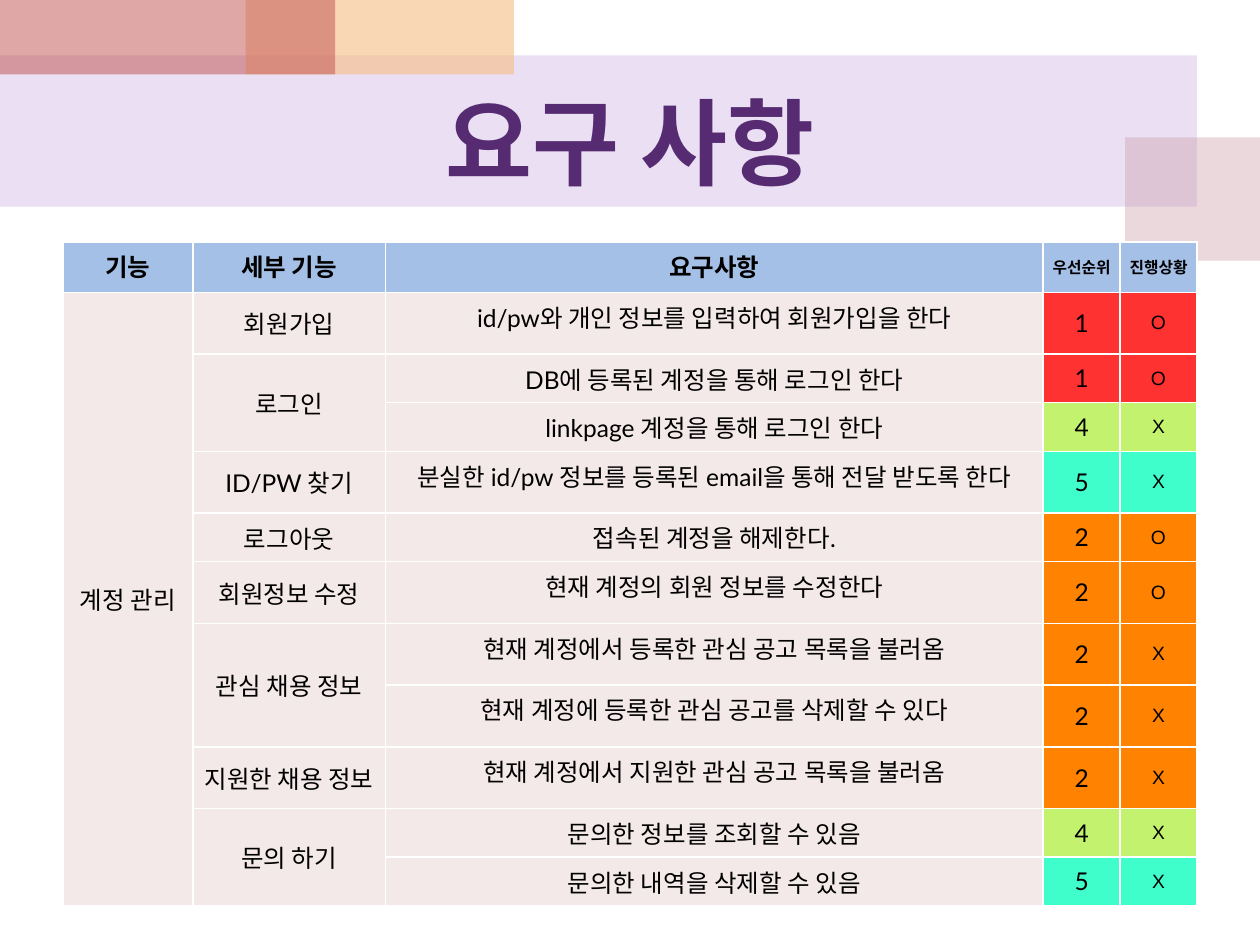
from dataclasses import dataclass
from itertools import groupby

from lxml.etree import SubElement
from pptx import Presentation
from pptx.dml.color import RGBColor
from pptx.enum.shapes import MSO_SHAPE
from pptx.enum.text import MSO_ANCHOR, PP_ALIGN
from pptx.oxml.ns import qn
from pptx.util import Inches, Pt


@dataclass(frozen=True)
class Theme:
    """Colours, fonts and type sizes."""
    violet: str = "BF98D8"
    rose: str = "CC9EAC"
    peach: str = "F5BC83"
    red: str = "C0504D"
    title: str = "562B71"
    ink: str = "000000"
    head: str = "A5C0E6"
    cell: str = "F4E9E9"
    ranks: tuple = (("1", "FF3232"), ("2", "FF8200"),
                    ("4", "C3F26E"), ("5", "40FECC"))
    strong: str = "Noto Sans CJK KR"
    plain: str = "Lato"
    mark: str = "Arial"
    huge: int = 54
    body: int = 14
    note: int = 11
    tiny: int = 9


class Page:
    """Draws on one slide, with lengths in percent of its size."""

    def __init__(self, deck, theme):
        """Start a slide that has a title only."""
        self.wide, self.high = deck.slide_width, deck.slide_height
        self.theme = theme
        self.slide = deck.slides.add_slide(deck.slide_layouts[5])
        self.shapes = self.slide.shapes

    def x(self, share):
        """Turn a share of the width into a length."""
        return round(self.wide * share / 100)

    def y(self, share):
        """Turn a share of the height into a length."""
        return round(self.high * share / 100)

    def box(self, left, top, width, height):
        """Turn four shares into a place and size."""
        return self.x(left), self.y(top), self.x(width), self.y(height)

    def letter(self, frame, text, size, face, color, bold=False):
        """Put one centred line into a text frame."""
        frame.text = text
        para = frame.paragraphs[0]
        para.alignment = PP_ALIGN.CENTER
        font = para.font
        font.size, font.name, font.bold = Pt(size), face, bold
        font.color.rgb = RGBColor.from_string(color)

    def block(self, place, color, alpha):
        """Add a see-through rectangle."""
        shape = self.shapes.add_shape(MSO_SHAPE.RECTANGLE, *self.box(*place))
        shape.shadow.inherit = False
        shape.line.fill.background()
        shape.fill.solid()
        shape.fill.fore_color.rgb = RGBColor.from_string(color)
        tone = shape._element.spPr.find(qn("a:solidFill"))[0]
        SubElement(tone, qn("a:alpha"), val=str(alpha * 1000))

    def title(self, text, place):
        """Fill the title and lift it above the blocks."""
        shape = self.shapes.title
        shape.left, shape.top, shape.width, shape.height = self.box(*place)
        shape.text_frame.vertical_anchor = MSO_ANCHOR.MIDDLE
        look = self.theme
        self.letter(shape.text_frame, text, look.huge, look.strong,
                    look.title, True)
        self.shapes._spTree.append(shape._element)

    def cell(self, cell, text, fill, size, face, bold=False, top=False,
             pad=0.05):
        """Fill and letter one table cell."""
        cell.fill.solid()
        cell.fill.fore_color.rgb = RGBColor.from_string(fill)
        cell.margin_left = cell.margin_right = Inches(pad)
        cell.margin_top = cell.margin_bottom = Inches(pad)
        cell.vertical_anchor = MSO_ANCHOR.TOP if top else MSO_ANCHOR.MIDDLE
        self.letter(cell.text_frame, text, size, face, self.theme.ink, bold)

    def table(self, left, top, cols, rows):
        """Add an unbanded table with the given column and row shares."""
        frame = self.shapes.add_table(
            len(rows), len(cols), *self.box(left, top, sum(cols), sum(rows)))
        grid = frame.table
        grid.first_row = grid.horz_banding = False
        for col, share in zip(grid.columns, cols):
            col.width = self.x(share)
        for row, share in zip(grid.rows, rows):
            row.height = self.y(share)
        return grid

    def needs(self, left, top, cols, heads, group, items):
        """Add the table of needs, joining cells of the same feature."""
        look = self.theme
        tall, short = 6.54, 5.14
        rows = [5.34] + [tall if item[4] else short for item in items]
        grid = self.table(left, top, cols, rows)
        for col, text in enumerate(heads):
            size = look.body if col < 3 else look.tiny
            self.cell(grid.cell(0, col), text, look.head, size,
                      look.strong, True, top=col < 3)
        grid.cell(1, 0).merge(grid.cell(len(items), 0))
        self.cell(grid.cell(1, 0), group, look.cell, look.body, look.plain)
        row = 1
        for name, part in groupby(items, key=lambda item: item[0]):
            part = list(part)
            first = grid.cell(row, 1)
            if len(part) > 1:
                first.merge(grid.cell(row + len(part) - 1, 1))
            self.cell(first, name, look.cell, look.body, look.plain)
            for _, need, rank, done, _ in part:
                fill = dict(look.ranks)[rank]
                self.cell(grid.cell(row, 2), need, look.cell, look.body,
                          look.plain, top=True)
                self.cell(grid.cell(row, 3), rank, fill, look.body,
                          look.plain)
                self.cell(grid.cell(row, 4), done, fill, look.note,
                          look.mark, pad=0.07)
                row += 1


HEADS = ("기능", "세부 기능", "요구사항", "우선순위", "진행상황")
ITEMS = (
    ("회원가입", "id/pw와 개인 정보를 입력하여 회원가입을 한다", "1", "O", True),
    ("로그인", "DB에 등록된 계정을 통해 로그인 한다", "1", "O", False),
    ("로그인", "linkpage 계정을 통해 로그인 한다", "4", "X", False),
    ("ID/PW 찾기", "분실한 id/pw 정보를 등록된 email을 통해 전달 받도록 한다",
     "5", "X", True),
    ("로그아웃", "접속된 계정을 해제한다.", "2", "O", False),
    ("회원정보 수정", "현재 계정의 회원 정보를 수정한다", "2", "O", True),
    ("관심 채용 정보", "현재 계정에서 등록한 관심 공고 목록을 불러옴", "2", "X", True),
    ("관심 채용 정보", "현재 계정에 등록한 관심 공고를 삭제할 수 있다", "2", "X", True),
    ("지원한 채용 정보", "현재 계정에서 지원한 관심 공고 목록을 불러옴", "2", "X", True),
    ("문의 하기", "문의한 정보를 조회할 수 있음", "4", "X", False),
    ("문의 하기", "문의한 내역을 삭제할 수 있음", "5", "X", False),
)

deck = Presentation()
deck.slide_width, deck.slide_height = Inches(10), Inches(7.5)
theme = Theme()
page = Page(deck, theme)
page.block((0, 5.87, 95, 16), theme.violet, 30)
page.block((89.3, 14.53, 10.7, 13.07), theme.rose, 40)
page.block((19.5, 0, 21.3, 7.87), theme.peach, 60)
page.block((0, 0, 26.6, 7.87), theme.red, 50)
page.title("요구 사항", (5, 7.87, 90, 14))
page.needs(5, 25.6, (10.3, 15.3, 52.2, 6.1, 6.1), HEADS, "계정 관리", ITEMS)
deck.save("out.pptx")
